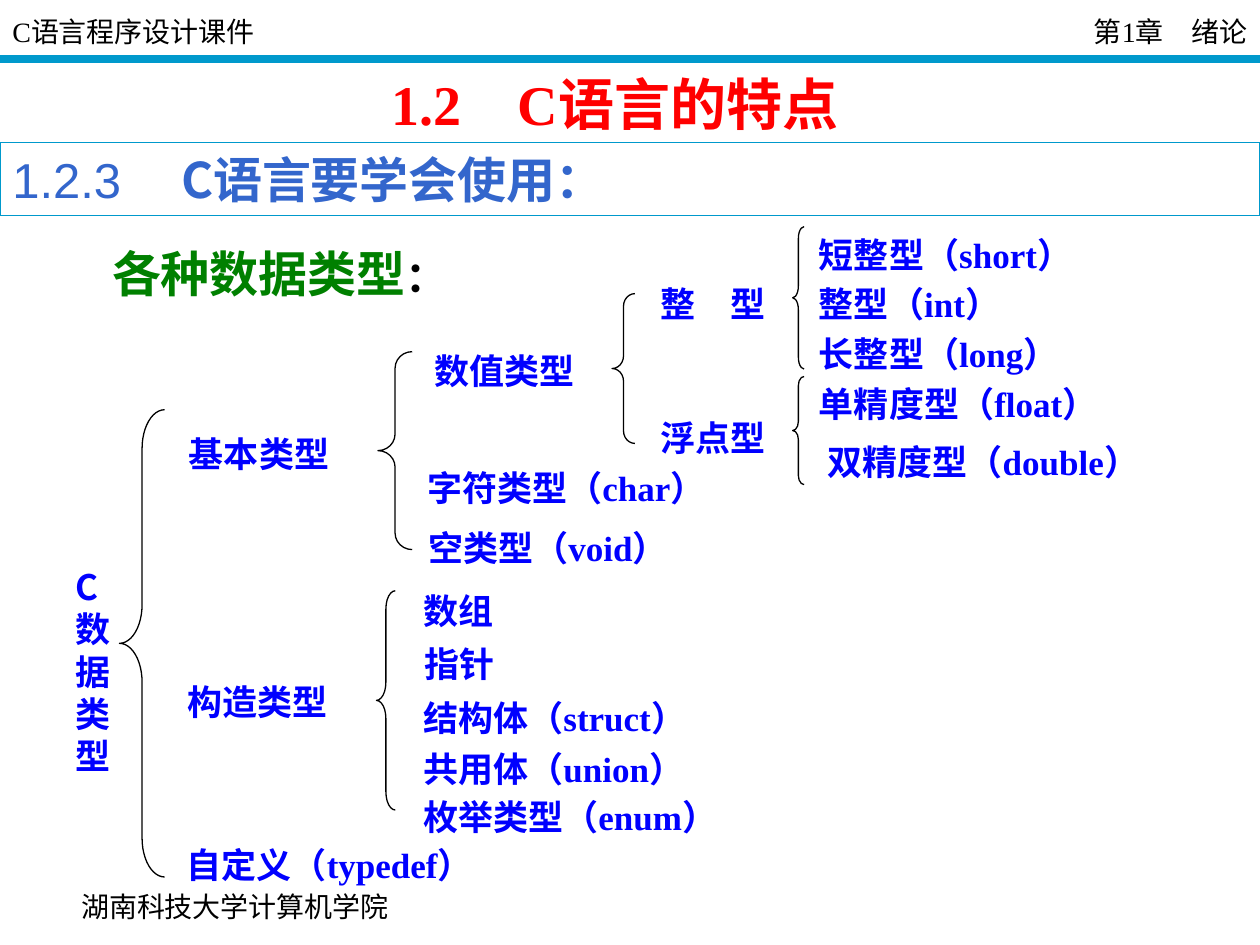
from pptx import Presentation
from pptx.dml.color import RGBColor
from pptx.enum.shapes import MSO_CONNECTOR, MSO_SHAPE
from pptx.enum.text import MSO_ANCHOR, PP_ALIGN
from pptx.oxml.ns import qn
from pptx.util import Cm, Pt
from lxml import etree

BRACE, RECT = MSO_SHAPE.LEFT_BRACE, MSO_SHAPE.RECTANGLE
LINE = MSO_CONNECTOR.STRAIGHT
TOP, MID = MSO_ANCHOR.TOP, MSO_ANCHOR.MIDDLE
LEFT, RIGHT, CENTER = PP_ALIGN.LEFT, PP_ALIGN.RIGHT, PP_ALIGN.CENTER
SERIF, SANS, CJK = "Times New Roman", "Arial", "Noto Sans CJK SC"


def inch(n):
    return Cm(round(n * 2.54, 2))


def color(hex_code):
    return RGBColor.from_string(hex_code)


def style(size, hue, bold=False, name=SERIF):
    return {"size": Pt(size), "bold": bold, "name": name, "hue": hue}


class Deck:
    white, black, teal = "FFFFFF", "000000", "0099CC"
    small = style(16, "000000")
    label = style(20, "0000FF", True)

    def __init__(self, wide, high):
        self.prs = Presentation()
        self.prs.slide_width, self.prs.slide_height = inch(wide), inch(high)
        self.slide = self.prs.slides.add_slide(self.prs.slide_layouts[6])

    def rule(self, x1, y1, x2, y2, width):
        line = self.slide.shapes.add_connector(
            LINE, inch(x1), inch(y1), inch(x2), inch(y2))
        line.line.color.rgb = color(self.teal)
        line.line.width = Pt(width)
        etree.SubElement(line._element.spPr, qn("a:effectLst"))

    def shape(self, kind, box, fill=None, edge=None):
        item = self.slide.shapes.add_shape(kind, *map(inch, box))
        item.shadow.inherit = False
        if fill:
            item.fill.solid()
            item.fill.fore_color.rgb = color(fill)
        else:
            item.fill.background()
        if edge:
            item.line.color.rgb = color(edge)
            item.line.width = Pt(0.75)
        else:
            item.line.fill.background()
        return item

    def brace(self, box):
        item = self.shape(BRACE, box, self.white, self.black)
        # Each curl is one twelfth of the height
        item.adjustments[0] = box[3] / 12 / box[2]

    def words(self, item, paras, align=LEFT, anchor=TOP, wrap=True, top=0.05):
        frame = item.text_frame
        values = {"word_wrap": wrap, "vertical_anchor": anchor,
                  "margin_left": inch(0.1), "margin_right": inch(0.1),
                  "margin_top": inch(top), "margin_bottom": inch(0.05)}
        for key, value in values.items():
            setattr(frame, key, value)
        for i, runs in enumerate(paras):
            para = frame.add_paragraph() if i else frame.paragraphs[0]
            para.alignment = align
            for text, look in runs:
                self.piece(para, text, look)

    def piece(self, para, text, look):
        part = para.add_run()
        part.text = text
        for key, value in look.items():
            if key == "hue":
                part.font.color.rgb = color(value)
            else:
                setattr(part.font, key, value)

    def text(self, box, runs, **opts):
        item = self.slide.shapes.add_textbox(*map(inch, box))
        self.words(item, [runs], **opts)

    def tag(self, x, y, width, text, wrap=False):
        item = self.shape(RECT, (x, y, width, 0.44), self.white)
        self.words(item, [[(text, self.label)]], wrap=wrap)


def main():
    deck = Deck(10, 7.5)

    # Header and footer
    deck.rule(0, 0.47, 10, 0.47, 4.5)
    for x, text, align in ((0, "C语言程序设计课件", LEFT),
                           (5, "第1章　绪论", RIGHT)):
        deck.text((x, 0, 5, 0.5), [(text, deck.small)],
                  align=align, anchor=MID)
    deck.text((0.45, 6.94, 2.83, 0.5), [("湖南科技大学计算机学院", deck.small)],
              align=CENTER, anchor=MID, wrap=False)

    # Root of the type tree, one sign per line
    root = deck.shape(RECT, (0.5, 4.44, 0.48, 1.77), deck.white)
    look = {**deck.label, "name": CJK}
    deck.words(root, [[(sign, look)] for sign in "C数据类型"], wrap=False)

    # Labels that fit their text
    for tag in (
        (1.4, 3.38, 1.31, "基本类型"),
        (3.29, 3.65, 2.54, "字符类型（char）"),
        (3.3, 4.13, 2.23, "空类型（void）"),
        (3.26, 4.63, 0.75, "数组"),
        (3.27, 5.05, 0.75, "指针"),
        (5.14, 2.19, 0.94, "整　型"),
        (5.14, 3.25, 1.03, "浮点型"),
        (6.4, 1.8, 2.34, "短整型（short）"),
        (6.4, 2.19, 1.77, "整型（int）"),
        (6.4, 2.59, 2.23, "长整型（long）"),
        (6.4, 2.99, 2.54, "单精度型（float）"),
    ):
        deck.tag(*tag)

    # Labels with room to spare
    for tag in (
        (1.39, 5.35, 1.51, "构造类型"),
        (1.38, 6.64, 2.99, "自定义（typedef）"),
        (3.35, 2.72, 1.4, "数值类型"),
        (3.26, 5.48, 3, "结构体（struct）"),
        (3.26, 5.88, 2.83, "共用体（union）"),
        (3.26, 6.26, 3.09, "枚举类型（enum）"),
        (6.47, 3.45, 3.16, "双精度型（double）"),
    ):
        deck.tag(*tag, wrap=True)

    # Braces
    for box in (
        (0.95, 3.25, 0.36, 3.71),
        (3, 2.79, 0.27, 1.57),
        (2.99, 4.69, 0.15, 1.74),
        (4.86, 2.33, 0.18, 1.19),
        (6.29, 1.8, 0.09, 1.13),
        (6.29, 2.99, 0.09, 0.86),
    ):
        deck.brace(box)

    # Titles
    deck.text((3.01, 0.5, 5.75, 0.64),
              [("1.2　C语言的特点", style(32, "FF0000", True))])
    bar = deck.shape(RECT, (0, 1.13, 10, 0.58), edge=deck.teal)
    deck.words(bar, [[("1.2.3　 ", style(28, "3366CC", name=SANS)),
                      ("C语言要学会使用：", style(28, "3366CC", True, CJK))]],
               top=0.06)
    deck.text((0.79, 1.88, 3.45, 0.57),
              [("各种数据类型", style(28, "008000", True, CJK)),
               ("：", style(24, deck.black, True))], anchor=MID)

    deck.prs.save("out.pptx")


if __name__ == "__main__":
    main()
